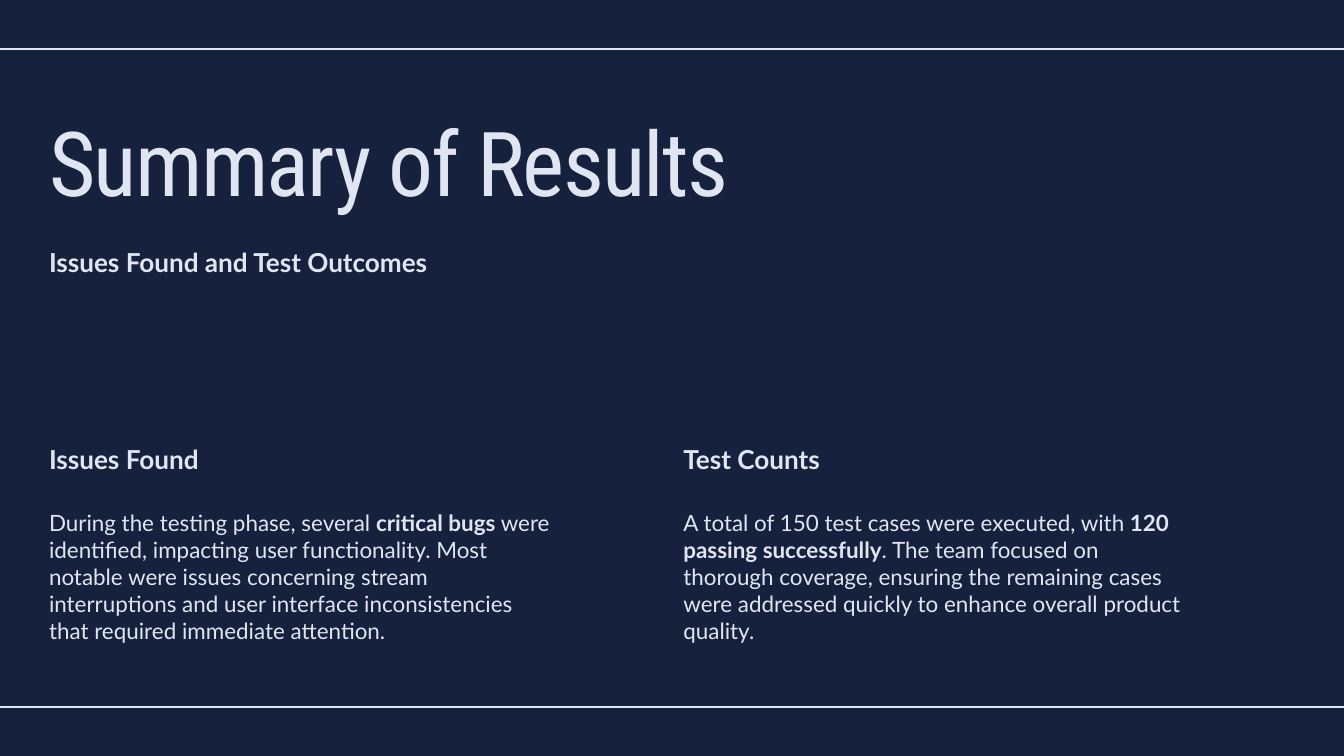
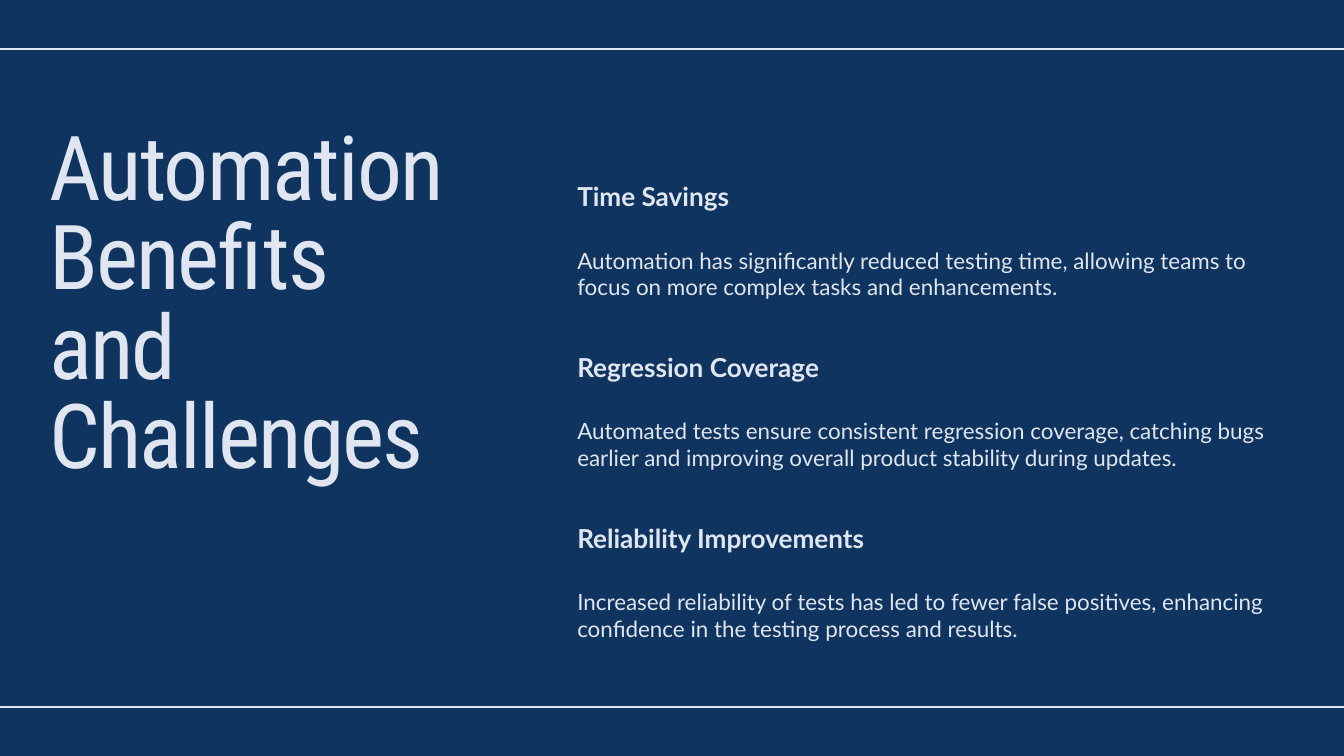
from dataclasses import dataclass

from lxml.etree import SubElement
from pptx import Presentation
from pptx.dml.color import RGBColor
from pptx.enum.shapes import MSO_CONNECTOR as Link
from pptx.enum.text import MSO_ANCHOR as Anchor, MSO_AUTO_SIZE as Fit, PP_ALIGN as Align
from pptx.oxml.ns import qn
from pptx.slide import Slide
from pptx.text.text import TextFrame
from pptx.util import Inches, Pt

WIDE, HIGH = 20, 11.25
EDGE = 0.73
RULES = (EDGE, 10.52)
INK = "E0E6F1"
NAVY = "16213E"
BLUE = "0F3460"
HEAD_H = 0.46
BODY_DROP = 0.98
TITLE_ONLY = 5


@dataclass(frozen=True)
class Style:
    font: str
    size: float
    lead: float
    bold: bool = False
    track: float = 0


TITLE = Style("Roboto Condensed", 96, 96, track=-1.9)
HEAD = Style("Lato", 28, 33.6, bold=True)
BODY = Style("Lato", 24, 28.8)


@dataclass(frozen=True)
class Box:
    left: float
    top: float
    width: float
    height: float

    def lengths(self) -> tuple:
        return tuple(Inches(n) for n in (self.left, self.top, self.width, self.height))


@dataclass(frozen=True)
class Section:
    head: str
    body: str


RESULTS = (
    Section(
        "Issues Found",
        "During the testing phase, several **critical bugs** were identified, impacting "
        "user functionality. Most notable were issues concerning stream interruptions and "
        "user interface inconsistencies that required immediate attention.",
    ),
    Section(
        "Test Counts",
        "A total of 150 test cases were executed, with **120 passing successfully**. The "
        "team focused on thorough coverage, ensuring the remaining cases were addressed "
        "quickly to enhance overall product quality.",
    ),
)
BENEFITS = (
    Section(
        "Time Savings",
        "Automation has significantly reduced testing time, allowing teams to focus on "
        "more complex tasks and enhancements.",
    ),
    Section(
        "Regression Coverage",
        "Automated tests ensure consistent regression coverage, catching bugs earlier and "
        "improving overall product stability during updates.",
    ),
    Section(
        "Reliability Improvements",
        "Increased reliability of tests has led to fewer false positives, enhancing "
        "confidence in the testing process and results.",
    ),
)


def color(code: str) -> RGBColor:
    return RGBColor.from_string(code)


def write(frame: TextFrame, text: str, style: Style) -> None:
    """Fill the frame with styled text; words between ** marks turn bold."""
    frame.margin_left = frame.margin_right = frame.margin_top = frame.margin_bottom = 0
    frame.word_wrap = True
    frame.auto_size = Fit.SHAPE_TO_FIT_TEXT
    frame.vertical_anchor = Anchor.TOP
    para = frame.paragraphs[0]
    para.alignment = Align.LEFT
    para.line_spacing = Pt(style.lead)
    for i, part in enumerate(text.split("**")):
        run = para.add_run()
        run.text = part
        font = run.font
        font.name = style.font
        font.size = Pt(style.size)
        font.bold = style.bold or i % 2 == 1
        font.color.rgb = color(INK)
        if style.track:
            run._r.get_or_add_rPr().set("spc", str(round(style.track * 100)))


def add_text(shapes, box: Box, text: str, style: Style) -> None:
    write(shapes.add_textbox(*box.lengths()).text_frame, text, style)


def add_section(slide: Slide, part: Section, box: Box) -> None:
    """Group a heading with its body; the box height is that of the body."""
    shapes = slide.shapes.add_group_shape().shapes
    add_text(shapes, Box(box.left, box.top, box.width, HEAD_H), part.head, HEAD)
    body = Box(box.left, box.top + BODY_DROP, box.width, box.height)
    add_text(shapes, body, part.body, BODY)


def add_rule(slide: Slide, top: float) -> None:
    y = Inches(top)
    rule = slide.shapes.add_connector(Link.STRAIGHT, 0, y, Inches(WIDE), y)
    rule.line.color.rgb = color(INK)
    rule.line.width = Pt(1.5)
    SubElement(rule._element.spPr, qn("a:effectLst"))


def add_slide(deck, back: str, title: str, box: Box) -> Slide:
    slide = deck.slides.add_slide(deck.slide_layouts[TITLE_ONLY])
    fill = slide.background.fill
    fill.solid()
    fill.fore_color.rgb = color(back)
    shape = slide.shapes.title
    shape.left, shape.top, shape.width, shape.height = box.lengths()
    write(shape.text_frame, title, TITLE)
    for top in RULES:
        add_rule(slide, top)
    return slide


def add_results(deck) -> None:
    full = WIDE - 2 * EDGE
    slide = add_slide(deck, NAVY, "Summary of Results", Box(EDGE, 1.86, full, 1.45))
    add_text(slide.shapes, Box(EDGE, 3.67, full, HEAD_H), "Issues Found and Test Outcomes", HEAD)
    for i, part in enumerate(RESULTS):
        add_section(slide, part, Box(EDGE + 9.44 * i, 6.6, 7.53, 1.98))


def add_benefits(deck) -> None:
    title = "Automation Benefits and Challenges"
    slide = add_slide(deck, BLUE, title, Box(EDGE, 1.91, 5.96, 4.07))
    for i, part in enumerate(BENEFITS):
        add_section(slide, part, Box(8.59, 2.69 + 2.54 * i, 10.68, 0.79))


def main() -> None:
    deck = Presentation()
    deck.slide_width, deck.slide_height = Inches(WIDE), Inches(HIGH)
    add_results(deck)
    add_benefits(deck)
    deck.save("out.pptx")


if __name__ == "__main__":
    main()
